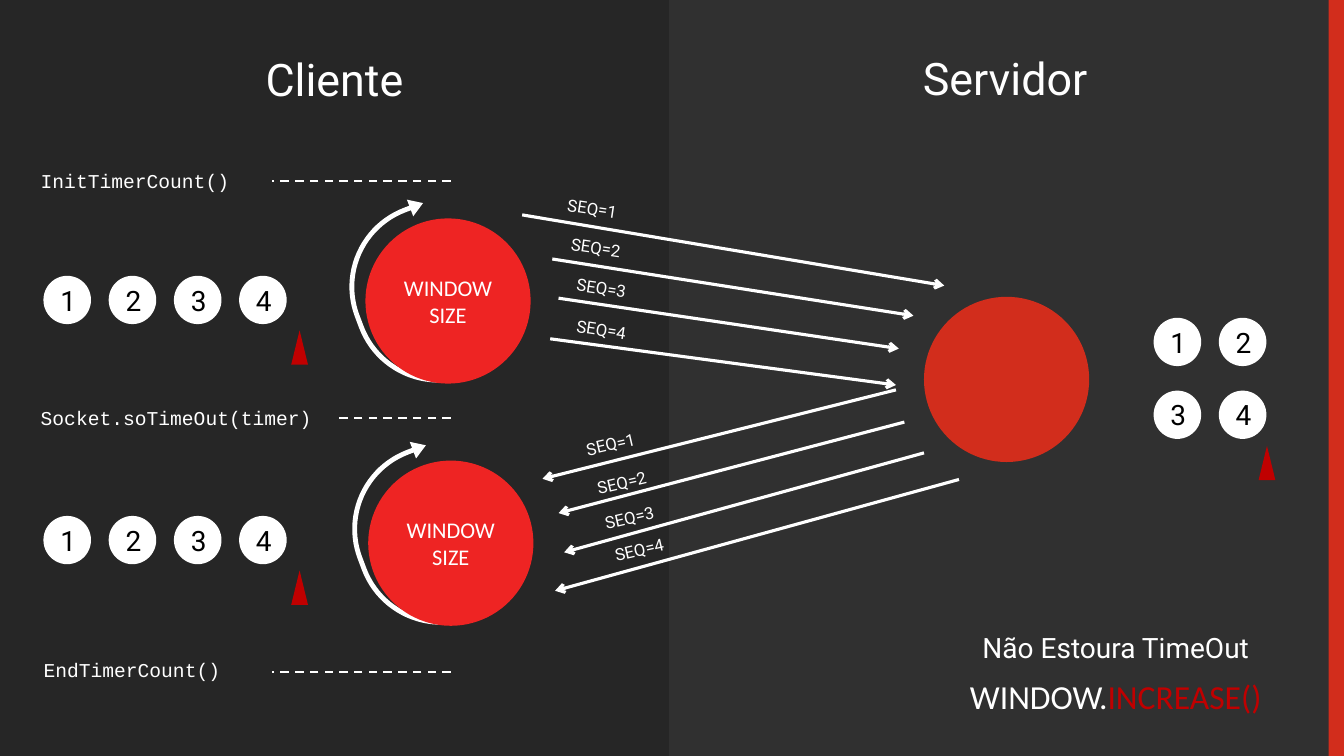
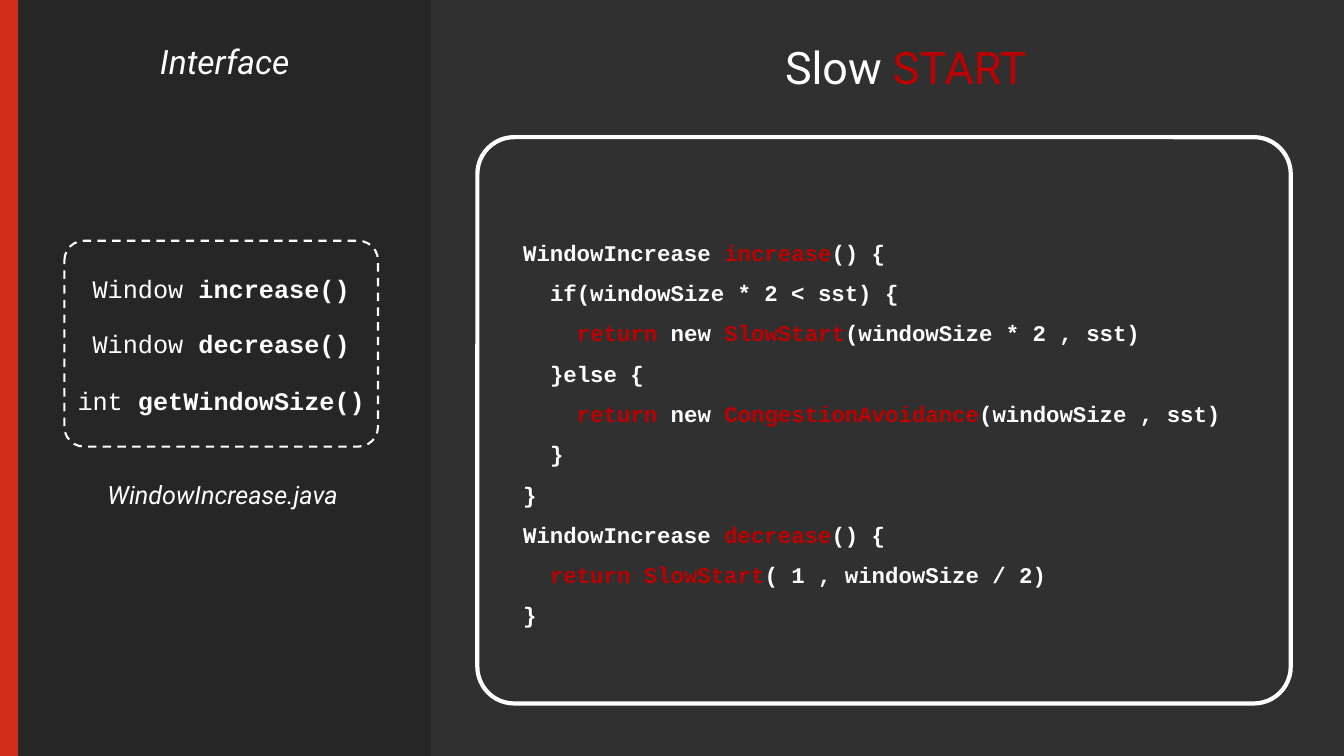
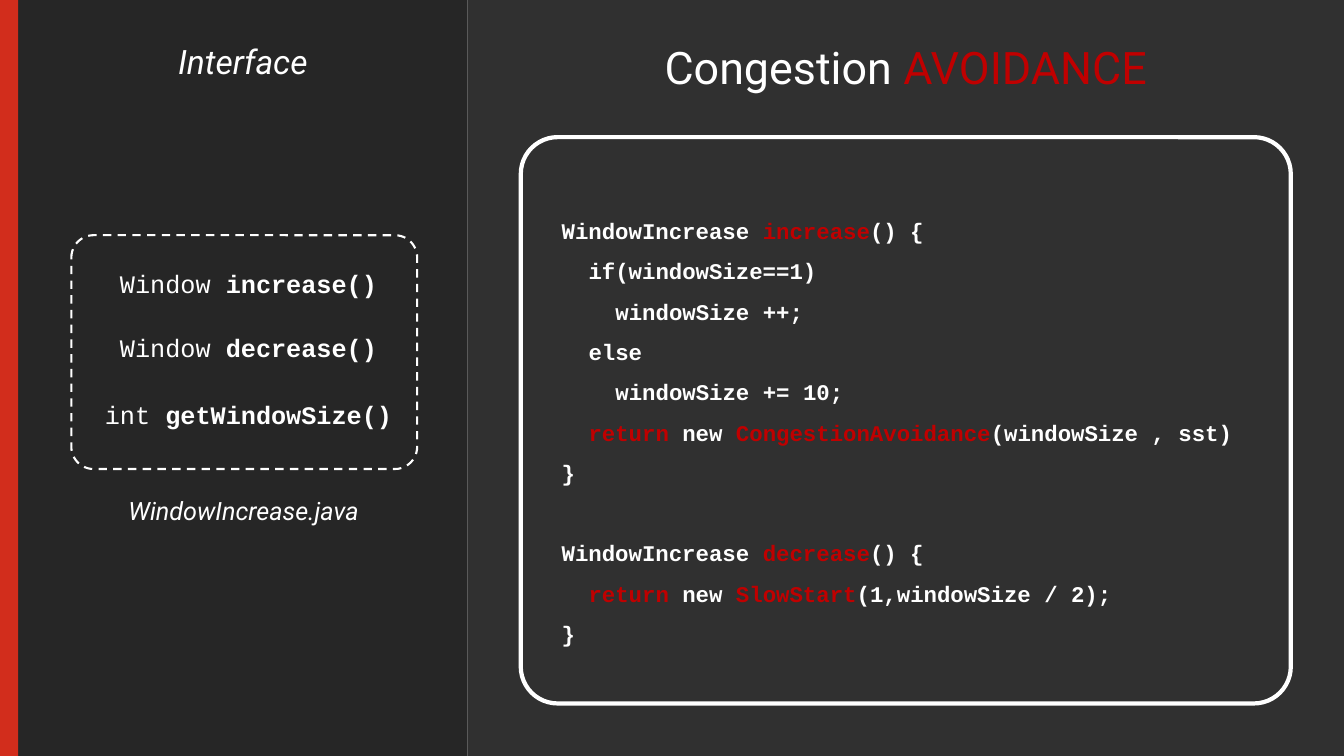
from lxml import etree
from pptx import Presentation
from pptx import util as u
from pptx.dml.color import RGBColor
from pptx.enum import dml, shapes, text
from pptx.oxml.ns import qn

COLORS = {
    "dark": "262626",
    "panel": "303030",
    "band": "D22D1C",
    "window": "EE2423",
    "accent": "C00000",
    "white": "FFFFFF",
    "black": "000000",
}
SANS, CODE, LABEL = "Roboto", "Courier New", "Calibri"
WIDTH, HEIGHT = 960, 540
BAND_WIDTH = 13
CODE_INDENT = 19.2  # two characters of 16 pt code
BLANK_LINE = 28.8
SHAPE = shapes.MSO_SHAPE
ALIGN = text.PP_ALIGN
TITLE_ONLY, TITLE_AND_BODY = 5, 1


def rgb(name):
    return RGBColor.from_string(COLORS[name])


class Deck:
    """Shared style and the slide being built; lengths are in points."""

    def __init__(self):
        self.presentation = Presentation()
        self.presentation.slide_width = u.Pt(WIDTH)
        self.presentation.slide_height = u.Pt(HEIGHT)
        self.slide = None

    def new_slide(self, layout, split, band_left):
        layouts = self.presentation.slide_layouts
        self.slide = self.presentation.slides.add_slide(layouts[layout])
        self.shape(SHAPE.RECTANGLE, (0, 0, split, HEIGHT), "dark")
        self.shape(SHAPE.RECTANGLE, (split, 0, WIDTH - split, HEIGHT), "panel")
        band_width = min(BAND_WIDTH, WIDTH - band_left)
        self.shape(SHAPE.RECTANGLE, (band_left, 0, band_width, HEIGHT), "band")

    # Text
    def add_runs(self, paragraph, content, size, font=SANS, color="white",
                 align=ALIGN.LEFT, bold=False, italic=False, bold_marks=False):
        """Parts between bars are emphasised, by colour or by weight."""
        paragraph.alignment = align
        for index, part in enumerate(content.split("|")):
            if not part:
                continue
            marked = index % 2 == 1
            run = paragraph.add_run()
            run.text = part
            run.font.name = font
            run.font.size = u.Pt(size)
            run.font.bold = bold or (marked and bold_marks)
            run.font.italic = italic
            recolor = marked and not bold_marks
            run.font.color.rgb = rgb("accent" if recolor else color)

    def prepare(self, shape, anchor=text.MSO_ANCHOR.TOP):
        frame = shape.text_frame
        frame.word_wrap = True
        frame.auto_size = text.MSO_AUTO_SIZE.NONE
        frame.vertical_anchor = anchor
        return frame

    def text(self, box, content, size, rotation=0, **style):
        shape = self.slide.shapes.add_textbox(*map(u.Pt, box))
        shape.rotation = rotation
        self.add_runs(self.prepare(shape).paragraphs[0], content, size, **style)

    def place(self, placeholder, box):
        """Move a placeholder into its box and in front of the panels."""
        left, top, width, height = map(u.Pt, box)
        placeholder.left, placeholder.top = left, top
        placeholder.width, placeholder.height = width, height
        placeholder.element.getparent().append(placeholder.element)
        return self.prepare(placeholder)

    def title(self, box, content):
        frame = self.place(self.slide.shapes.title, box)
        self.add_runs(frame.paragraphs[0], content, 32, align=ALIGN.CENTER)

    def code(self, box, lines):
        """Lines are (indent level, text); None leaves one line of space."""
        frame = self.place(self.slide.placeholders[1], box)
        space, paragraph = 0, None
        for line in lines:
            if line is None:
                space = BLANK_LINE
                continue
            level, content = line
            first = paragraph is None
            paragraph = frame.paragraphs[0] if first else frame.add_paragraph()
            self.add_runs(paragraph, content, 16, font=CODE, bold=True)
            paragraph.line_spacing = 1.5
            paragraph.space_before = u.Pt(space)
            properties = paragraph._p.get_or_add_pPr()
            properties.set("marL", str(int(u.Pt(level * CODE_INDENT))))
            properties.set("indent", "0")
            etree.SubElement(properties, qn("a:buNone"))
            space = 0

    # Shapes
    def shape(self, kind, box, fill=None, outline=0, dashed=False,
              adjustments=(), rotation=0):
        shape = self.slide.shapes.add_shape(kind, *map(u.Pt, box))
        shape.shadow.inherit = False
        shape.rotation = rotation
        for index, value in enumerate(adjustments):
            shape.adjustments[index] = value
        if fill:
            shape.fill.solid()
            shape.fill.fore_color.rgb = rgb(fill)
        else:
            shape.fill.background()
        if outline:
            self.stroke(shape.line, outline, dashed)
        else:
            shape.line.fill.background()
        return shape

    def stroke(self, line, width, dashed):
        line.color.rgb = rgb("white")
        line.width = u.Pt(width)
        if dashed:
            line.dash_style = dml.MSO_LINE.DASH

    def line(self, start, end, width, dashed=False, arrow=False):
        connector = self.slide.shapes.add_connector(
            shapes.MSO_CONNECTOR.STRAIGHT, *map(u.Pt, start + end))
        self.stroke(connector.line, width, dashed)
        if arrow:
            etree.SubElement(connector.get_or_add_ln(), qn("a:tailEnd"), type="arrow")
        etree.SubElement(connector.element.spPr, qn("a:effectLst"))

    def disc(self, box, fill, content, size, **style):
        shape = self.shape(SHAPE.OVAL, box, fill)
        frame = self.prepare(shape, text.MSO_ANCHOR.MIDDLE)
        self.add_runs(frame.paragraphs[0], content, size, align=ALIGN.CENTER, **style)

    # Parts of the diagrams
    def packets(self, left, top, columns, marker):
        for index in range(4):
            row, column = divmod(index, columns)
            box = (left + column * 46.6, top + row * 52, 34, 34.5)
            self.disc(box, "white", str(index + 1), 20, color="black")
        self.shape(SHAPE.ISOSCELES_TRIANGLE, marker + (12, 24.5), "accent")

    def window(self, left, top):
        self.shape(SHAPE.U_TURN_ARROW, (left - 38.5, top + 21, 134, 75.5), "white",
                   adjustments=(0.046, 0.084, 0.131, 0.801, 0.985), rotation=249.2)
        self.disc((left, top, 118, 118), "window", "WINDOW SIZE", 16, font=LABEL)

    def messages(self, messages, width, rotation, align):
        for number, (start, end, label) in enumerate(messages, 1):
            self.line(start, end, 2.25, arrow=True)
            self.text(label + (width, 22), f"SEQ={number}", 12,
                      rotation=rotation, align=align)

    def interface(self, split, box, left, width, tops, file_name_at):
        heading = (BAND_WIDTH, 26, split - BAND_WIDTH, 36)
        self.text(heading, "Interface", 24, align=ALIGN.CENTER, italic=True)
        self.shape(SHAPE.ROUNDED_RECTANGLE, box, outline=1.5, dashed=True,
                   adjustments=(0.095,))
        methods = ("Window |increase()|", "Window |decrease()|", "int |getWindowSize()|")
        for top, method in zip(tops, methods):
            self.text((left, top, width, 29), method, 18, font=CODE,
                      align=ALIGN.CENTER, bold_marks=True)
        self.text(file_name_at + (260, 29), "WindowIncrease.java", 18,
                  align=ALIGN.CENTER, italic=True)

    def listing(self, title, frame_left, code_box, lines):
        self.shape(SHAPE.ROUNDED_RECTANGLE, (frame_left, 98, 922 - frame_left, 404.5),
                   outline=3, adjustments=(0.065,))
        self.code(code_box, lines)
        self.title((334, 24.5, 626, 46), title)


def build_exchange(deck):
    deck.new_slide(TITLE_ONLY, 478, 949)
    deck.title((0, 33, 478, 46), "Cliente")
    deck.text((478, 33, 480, 46), "Servidor", 32, align=ALIGN.CENTER)
    deck.shape(SHAPE.OVAL, (660, 212, 118, 118), "band")

    # Timer calls
    timers = (
        ("InitTimerCount()", 22, 117, 194.5, 129),
        ("Socket.soTimeOut(timer)", 22, 286.5, 239, 298.5),
        ("EndTimerCount()", 24, 466.5, 194.5, 480),
    )
    for call, left, top, dash_left, dash_top in timers:
        deck.text((left, top, 217, 24), call, 14, font=CODE)
        deck.line((322, dash_top), (dash_left, dash_top), 1.5, dashed=True)

    # Windows and messages: start, end, label position
    deck.window(261, 156)
    deck.window(263, 329)
    deck.messages((
        ((373, 153.5), (674.5, 204), (398, 141)),
        ((394.5, 185), (652.5, 225.5), (400.5, 169)),
        ((399, 213), (642, 249), (404.5, 198)),
        ((393, 242), (640, 275), (404.5, 227.5)),
    ), 91, 8.4, ALIGN.LEFT)
    deck.messages((
        ((640, 278.5), (387.5, 342), (410.5, 306.5)),
        ((646, 301.5), (399, 366.5), (418.5, 334)),
        ((660, 323.5), (403, 394.5), (424, 359)),
        ((685, 342.5), (396.5, 422), (431, 382)),
    ), 50.5, 347, ALIGN.RIGHT)

    # Packets on both sides
    deck.packets(31, 197, 4, (208, 236))
    deck.packets(31, 368.5, 4, (208, 407.5))
    deck.packets(824, 227, 2, (899, 318.5))

    # Outcome
    deck.text((632, 446.5, 330, 32), "Não Estoura TimeOut", 20, align=ALIGN.CENTER)
    deck.text((632, 479.5, 330, 36), "WINDOW.|INCREASE()|", 24, font=LABEL,
              align=ALIGN.CENTER)


def build_slow_start(deck):
    deck.new_slide(TITLE_AND_BODY, 308, 0)
    deck.interface(308, (46, 172, 224, 147), 46, 224, (192, 231, 272), (29, 338.5))
    deck.listing("Slow |START|", 341, (366.5, 157.5, 529, 296), (
        (0, "WindowIncrease |increase|() {"),
        (1, "if(windowSize * 2 < sst) {"),
        (2, "|return| new |SlowStart|(windowSize * 2 , sst)"),
        (1, "}else {"),
        (2, "|return| new |CongestionAvoidance|(windowSize , sst)"),
        (1, "}"),
        (0, "}"),
        (0, "WindowIncrease |decrease|() {"),
        (1, "|return SlowStart|( 1 , windowSize / 2)"),
        (0, "}"),
    ))


def build_congestion_avoidance(deck):
    deck.new_slide(TITLE_AND_BODY, 334, 0)
    deck.interface(334, (51, 168, 247, 167), 61, 233, (188, 234, 282), (44, 350))
    deck.listing("Congestion |AVOIDANCE|", 372, (394, 142, 515.5, 325), (
        (0, "WindowIncrease |increase|() {"),
        (1, "if(windowSize==1)"),
        (2, "windowSize ++;"),
        (1, "else"),
        (2, "windowSize += 10;"),
        (1, "|return| new |CongestionAvoidance|(windowSize , sst)"),
        (0, "}"),
        None,
        (0, "WindowIncrease |decrease|() {"),
        (1, "|return| new |SlowStart|(1,windowSize / 2);"),
        (0, "}"),
    ))


def main():
    deck = Deck()
    build_exchange(deck)
    build_slow_start(deck)
    build_congestion_avoidance(deck)
    deck.presentation.save("out.pptx")


if __name__ == "__main__":
    main()
